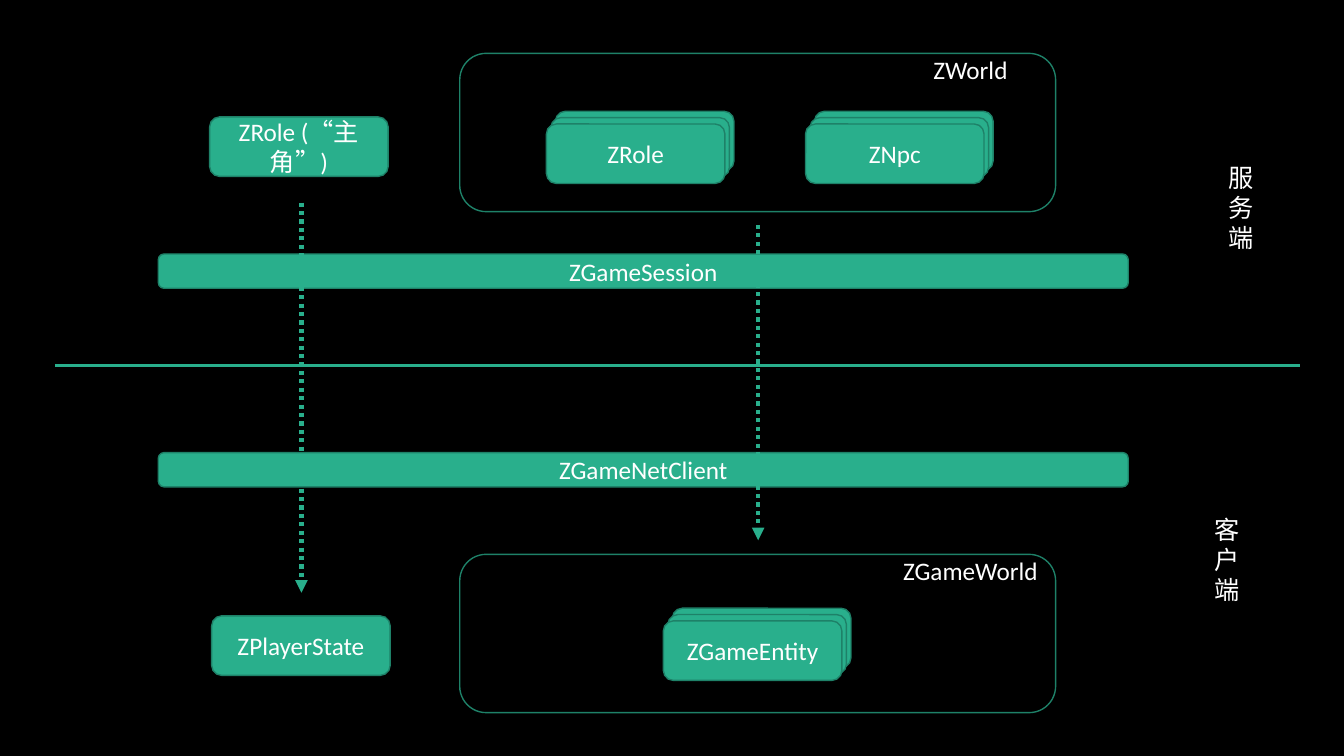
from pptx import Presentation
from pptx.dml.color import RGBColor
from pptx.enum import dml, lang, shapes, text
from pptx.oxml.ns import qn
from pptx.util import Inches, Pt
from lxml import etree

BLACK = RGBColor(0x00, 0x00, 0x00)
WHITE = RGBColor(0xFF, 0xFF, 0xFF)
GREEN = RGBColor(0x29, 0xAF, 0x8C)
DARK_GREEN = RGBColor(0x1E, 0x81, 0x68)

NODE_SIZE = (1.77, 0.59)
WORLD_SIZE = (5.91, 1.57)
WORLD_LABEL_SIZE = (1.69, 0.31)
BAR_SIZE = (9.62, 0.34)
SIDE_SIZE = (1.44, 1.4)


def write(frame, words, size=18, color=WHITE, font="Calibri"):
    frame.word_wrap = True
    frame.vertical_anchor = text.MSO_ANCHOR.MIDDLE
    for index, line in enumerate(words.split("\n")):
        paragraph = frame.paragraphs[0] if index == 0 else frame.add_paragraph()
        paragraph.alignment = text.PP_ALIGN.CENTER
        run = paragraph.add_run()
        run.text = line
        run.font.size = Pt(size)
        run.font.name = font
        run.font.color.rgb = color
        run.font.language_id = lang.MSO_LANGUAGE_ID.SIMPLIFIED_CHINESE


def add_box(parent, left, top, size, words="", fill=GREEN, line=DARK_GREEN):
    box = parent.add_shape(shapes.MSO_SHAPE.ROUNDED_RECTANGLE,
                           Inches(left), Inches(top), *map(Inches, size))
    box.shadow.inherit = False
    if fill is None:
        box.fill.background()
    else:
        box.fill.solid()
        box.fill.fore_color.rgb = fill
    if line is None:
        box.line.fill.background()
    else:
        box.line.color.rgb = line
        box.line.width = Pt(1)
    if words:
        write(box.text_frame, words)


def add_stack(parent, left, top, words):
    stack = parent.add_group_shape().shapes
    for depth in (2, 1, 0):
        add_box(stack, left + depth * 0.045, top - depth * 0.063, NODE_SIZE,
                words if depth == 0 else "")


def add_world(parent, top, words):
    world = parent.add_group_shape().shapes
    add_box(world, 4.56, top, WORLD_SIZE, fill=None)
    add_box(world, 8.78, top, WORLD_LABEL_SIZE, words, fill=None, line=None)


def add_line(parent, start, end, width, arrow=False):
    link = parent.add_connector(shapes.MSO_CONNECTOR.STRAIGHT,
                                *map(Inches, start + end))
    link.line.color.rgb = GREEN
    link.line.width = Pt(width)
    if arrow:
        link.line.dash_style = dml.MSO_LINE.ROUND_DOT
        tail = etree.SubElement(link.line._get_or_add_ln(), qn("a:tailEnd"))
        tail.set("type", "triangle")
    etree.SubElement(link._element.spPr, qn("a:effectLst"))


def main():
    deck = Presentation()
    deck.slide_width = Inches(13.33)
    deck.slide_height = Inches(7.5)
    slide = deck.slides.add_slide(deck.slide_layouts[6])
    slide.background.fill.solid()
    slide.background.fill.fore_color.rgb = BLACK
    canvas = slide.shapes

    add_box(canvas, 2.08, 1.16, NODE_SIZE, "ZRole (“主角”)")
    add_stack(canvas, 5.42, 1.23, "ZRole")
    add_stack(canvas, 7.99, 1.23, "ZNpc")
    add_world(canvas, 0.53, "ZWorld")

    add_box(canvas, 2.1, 6.11, NODE_SIZE, "ZPlayerState")
    add_world(canvas, 5.5, "ZGameWorld")
    add_stack(canvas, 6.58, 6.16, "ZGameEntity")

    add_box(canvas, 1.57, 2.52, BAR_SIZE, "ZGameSession")
    add_box(canvas, 1.57, 4.49, BAR_SIZE, "ZGameNetClient")

    add_line(canvas, (2.99, 2.01), (2.99, 5.88), 3, arrow=True)
    add_line(canvas, (7.52, 2.23), (7.52, 5.36), 3, arrow=True)
    add_line(canvas, (0.55, 3.63), (12.89, 3.63), 2)

    add_box(canvas, 11.59, 1.36, SIDE_SIZE, "服\n务\n端", fill=None, line=None)
    add_box(canvas, 11.45, 4.85, SIDE_SIZE, "客\n户\n端", fill=None, line=None)

    deck.save("out.pptx")


if __name__ == "__main__":
    main()
